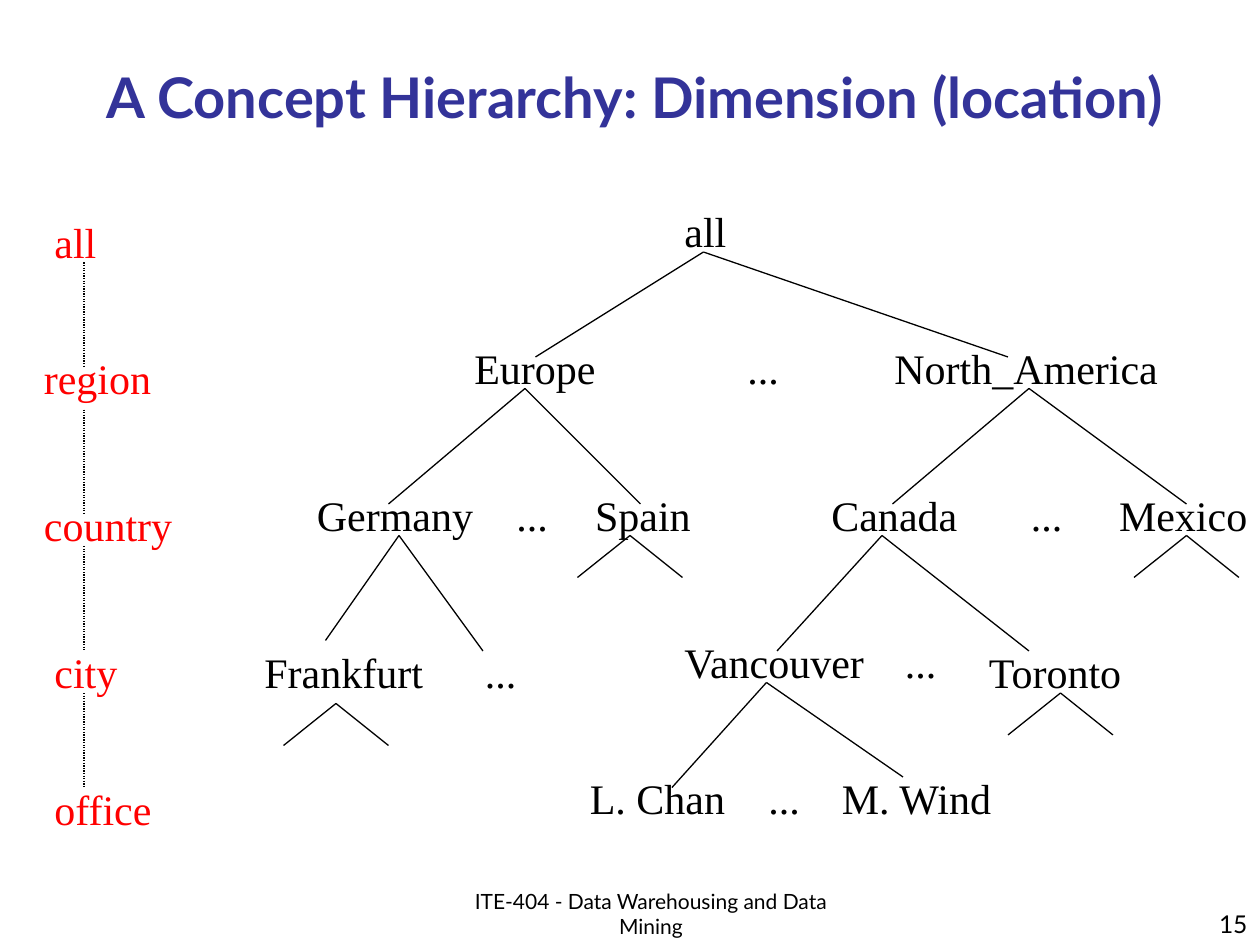
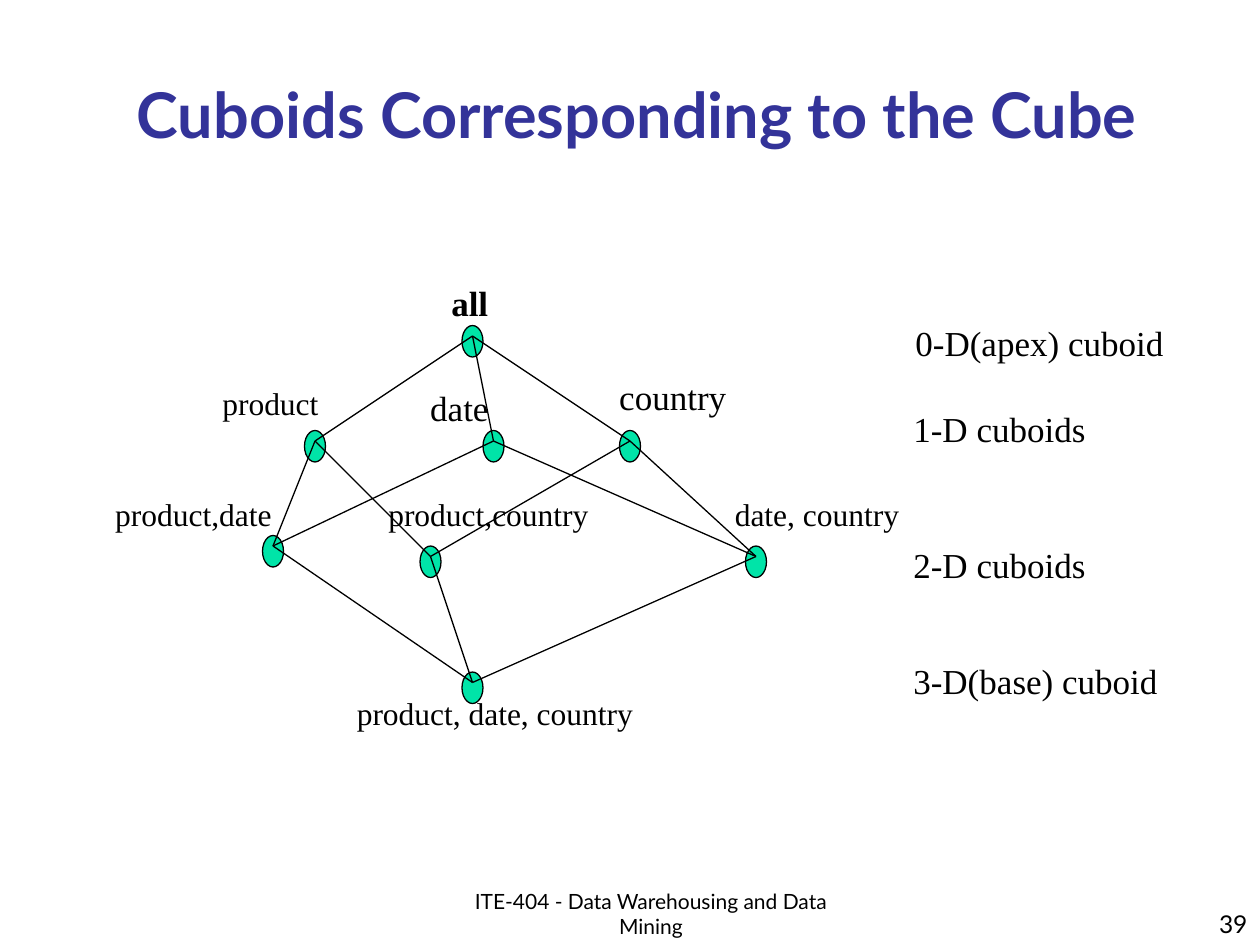
from dataclasses import dataclass
from itertools import permutations

from lxml.etree import SubElement
from pptx import Presentation
from pptx.dml.color import RGBColor as Rgb
from pptx.enum.dml import MSO_LINE as Dash
from pptx.enum.shapes import MSO_CONNECTOR as Connector, MSO_SHAPE as Preset
from pptx.enum.text import MSO_ANCHOR as Anchor, MSO_AUTO_SIZE as Fit, PP_ALIGN as Align
from pptx.oxml.ns import qn
from pptx.util import Inches, Pt


@dataclass(frozen=True)
class Theme:
    heading_font: str = "Lato"
    label_font: str = "Times New Roman"
    heading: Rgb = Rgb(0x33, 0x33, 0x99)
    ink: Rgb = Rgb(0, 0, 0)
    level: Rgb = Rgb(0xFF, 0, 0)
    node: Rgb = Rgb(0, 0xE4, 0xA8)
    tree_size: Pt = Pt(24)
    large_size: Pt = Pt(20)
    small_size: Pt = Pt(18)
    number_size: Pt = Pt(14)
    footer_size: Pt = Pt(12)
    line_width: Pt = Pt(0.75)


theme = Theme()
CELL = Inches(1) // 12  # the slide is a grid of 120 columns by 90 rows


def write(page, text, place, size, color=theme.ink, font=theme.label_font, align=None):
    """Add a text box at (column, row, width, height); aligned text wraps, labels do not."""
    box = page.shapes.add_textbox(*(round(cells * CELL) for cells in place))
    frame = box.text_frame
    frame.word_wrap = align is not None
    frame.auto_size = Fit.NONE if align else Fit.SHAPE_TO_FIT_TEXT
    frame.vertical_anchor = Anchor.BOTTOM if align else Anchor.TOP
    para = frame.paragraphs[0]
    para.text = text
    para.alignment = align
    para.font.name, para.font.size, para.font.color.rgb = font, size, color
    return para


def join(page, start, end):
    """Draw a thin line between two (column, row) points."""
    line = page.shapes.add_connector(
        Connector.STRAIGHT, *(cells * CELL for cells in (*start, *end)))
    line.line.color.rgb = theme.ink
    line.line.width = theme.line_width
    SubElement(line._element.spPr, qn("a:effectLst"))
    return line


deck = Presentation()
deck.slide_width, deck.slide_height = 120 * CELL, 90 * CELL

# Title, footer and number of both slides
headings = [
    ("A Concept Hierarchy: Dimension (location)", (8, 5, 105, 8), Pt(32), "15"),
    ("Cuboids Corresponding to the Cube", (10, 5, 101.3, 10), Pt(36), "39"),
]
pages = []
for heading, place, size, number in headings:
    page = deck.slides.add_slide(deck.slide_layouts[5])
    title = page.shapes.title
    title.left, title.top, title.width, title.height = (round(n * CELL) for n in place)
    title.text_frame.text = heading
    title.text_frame.auto_size = Fit.NONE
    title.text_frame.vertical_anchor = Anchor.BOTTOM
    para = title.text_frame.paragraphs[0]
    para.alignment = Align.CENTER
    para.font.name, para.font.size, para.font.bold = theme.heading_font, size, True
    para.font.color.rgb = theme.heading
    write(page, "ITE-404 - Data Warehousing and Data Mining", (43, 85, 38, 5),
          theme.footer_size, font=theme.heading_font, align=Align.CENTER)
    write(page, number, (95, 84, 25, 6), theme.number_size,
          font=theme.heading_font, align=Align.RIGHT)
    pages.append(page)
tree_page, cube_page = pages

# Concept hierarchy: text, column, row, width
places = [
    ("all", 64, 19, 6.8),
    ("Europe", 44, 32, 14.4), ("...", 70, 32, 5.8), ("North_America", 84, 32, 28),
    ("Germany", 29, 46, 17.8), ("...", 48, 46, 5.8), ("Spain", 55.5, 46, 12),
    ("Canada", 78, 46, 14.8), ("...", 97, 46, 5.8), ("Mexico", 105.4, 46, 14.6),
    ("Frankfurt", 24, 61, 18), ("...", 45, 61, 5.8), ("Vancouver", 64, 60, 20.4),
    ("...", 85, 60, 5.8), ("Toronto", 93, 61, 15.6),
    ("L. Chan", 55, 73, 15.8), ("...", 72, 73, 5.8), ("M. Wind", 79, 73, 17.2),
]
levels = [
    ("all", 4, 20, 6.8), ("region", 3, 33, 13), ("country", 3, 47, 15),
    ("city", 4, 61, 8.8), ("office", 4, 74, 12.2),
]
for labels, color in ((places, theme.ink), (levels, theme.level)):
    for text, column, row, width in labels:
        write(tree_page, text, (column, row, width, 6), theme.tree_size, color)

branches = [
    ((67, 24), (51, 34), (96, 34)),
    ((50, 37), (37, 48), (61, 48)),
    ((98, 37), (85, 48), (113, 48)),
    ((38, 51), (31, 61), (46, 62)),
    ((84, 51), (74, 62), (98, 62)),
    ((73, 65), (64, 75), (86, 74)),
]
for column, row in ((60, 51), (113, 51), (32, 67), (101, 66)):
    branches.append(((column, row), (column - 5, row + 4), (column + 5, row + 4)))
for parent, *children in branches:
    for child in children:
        join(tree_page, parent, child)
for top, bottom in ((25, 35), (39, 49), (52, 62), (66, 75)):
    join(tree_page, (8, top), (8, bottom)).line.dash_style = Dash.ROUND_DOT

# Lattice of cuboids: the dimensions of each and the point where its lines meet
cuboids = {
    frozenset(): (45, 32),
    frozenset({"product"}): (30, 42),
    frozenset({"date"}): (47, 42),
    frozenset({"country"}): (60, 42),
    frozenset({"product", "date"}): (26, 52),
    frozenset({"date", "country"}): (72, 53),
    frozenset({"product", "country"}): (41, 53),
    frozenset({"product", "date", "country"}): (45, 65),
}
for column, row in cuboids.values():
    node = cube_page.shapes.add_shape(
        Preset.FLOWCHART_CONNECTOR, (column - 1) * CELL, (row - 1) * CELL, 2 * CELL, 3 * CELL)
    node.shadow.inherit = False
    node.fill.solid()
    node.fill.fore_color.rgb = theme.node
    node.line.color.rgb = theme.ink
    node.line.width = theme.line_width
for upper, lower in permutations(cuboids, 2):
    if upper < lower and len(lower) == len(upper) + 1:
        join(cube_page, cuboids[upper], cuboids[lower])

small_labels = [
    ("product", 20, 36, 12), ("product,date", 9.8, 46.6, 17.8),
    ("product,country", 35.8, 46.6, 22), ("date, country", 68.8, 46.6, 18.6),
    ("product, date, country", 32.8, 65.5, 29.2),
]
large_labels = [
    ("date", 39.8, 36.2, 8.4), ("country", 57.8, 35.2, 13),
    ("0-D(apex) cuboid", 86, 30, 26.6), ("1-D cuboids", 85.8, 38.2, 19.2),
    ("2-D cuboids", 85.8, 51.2, 19.2), ("3-D(base) cuboid", 85.8, 62.2, 26.2),
]
write(cube_page, "all", (41.8, 26.2, 6.3, 5.3), theme.large_size).font.bold = True
for labels, size, height in ((small_labels, theme.small_size, 4.8),
                             (large_labels, theme.large_size, 5.3)):
    for text, column, row, width in labels:
        write(cube_page, text, (column, row, width, height), size)

deck.save("out.pptx")
